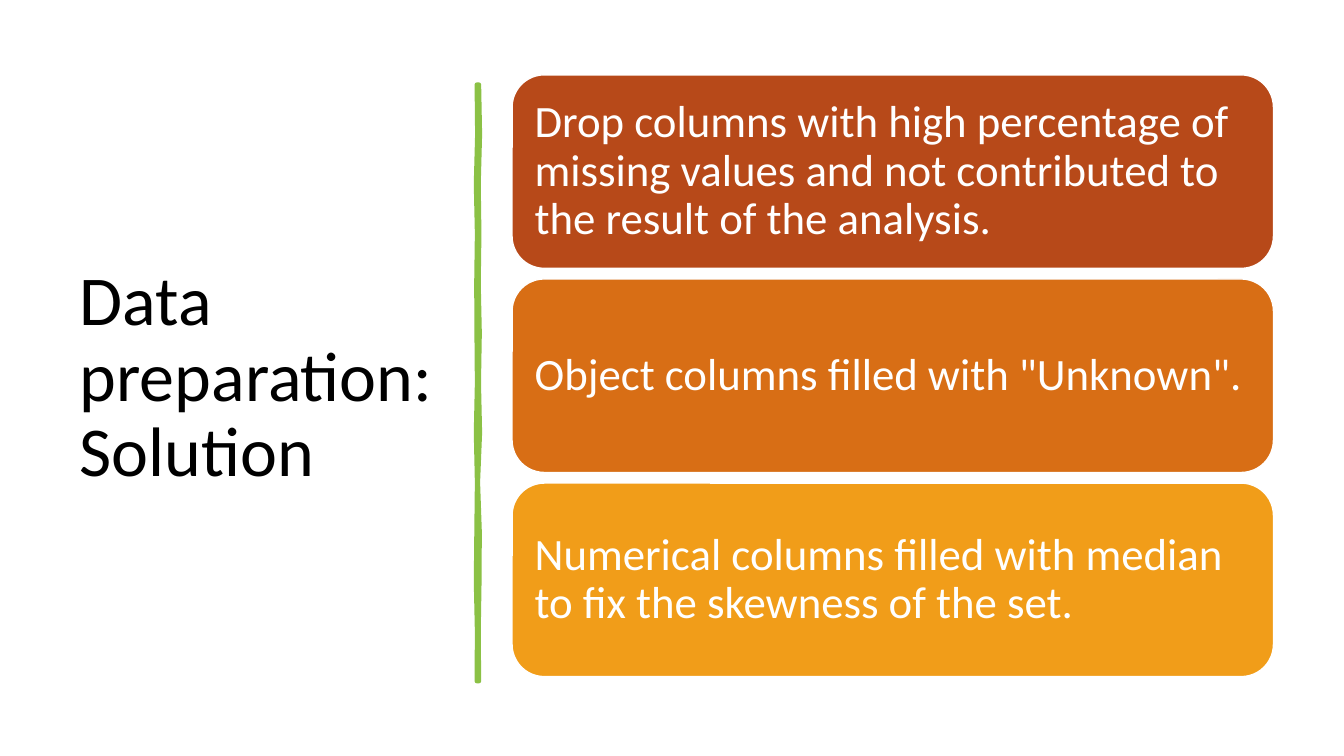
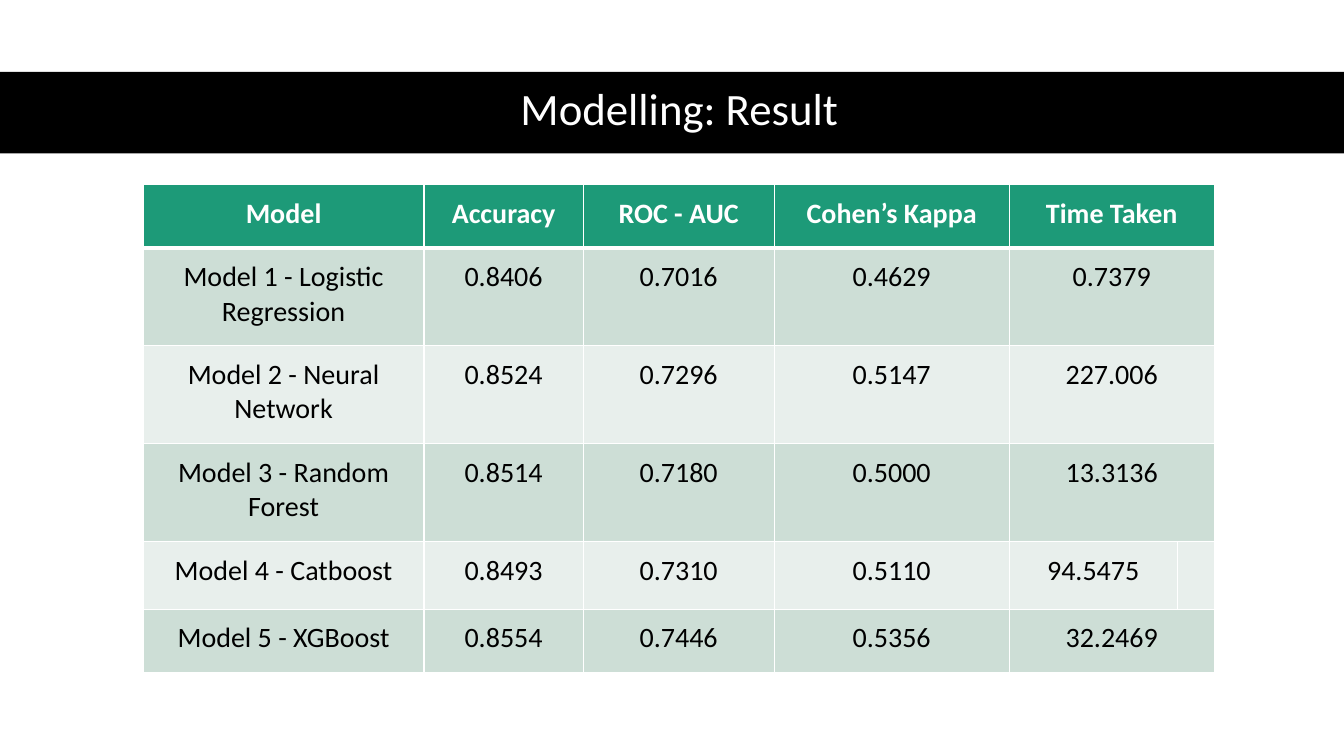
from lxml.etree import SubElement
from pptx import Presentation
from pptx.dml.color import RGBColor
from pptx.enum.shapes import MSO_SHAPE
from pptx.enum.text import MSO_ANCHOR, MSO_AUTO_SIZE, PP_ALIGN
from pptx.oxml import parse_xml
from pptx.oxml.ns import nsdecls, qn
from pptx.util import Inches, Pt

BLACK = RGBColor(0x00, 0x00, 0x00)
WHITE = RGBColor(0xFF, 0xFF, 0xFF)
LEAF = RGBColor(0x8B, 0xC1, 0x45)
RUST = RGBColor(0xB7, 0x49, 0x19)
ORANGE = RGBColor(0xD8, 0x6E, 0x15)
AMBER = RGBColor(0xF1, 0x9D, 0x19)
TEAL = RGBColor(0x1D, 0x9A, 0x78)
MINT = RGBColor(0xCD, 0xDE, 0xD6)
PALE_MINT = RGBColor(0xE8, 0xEF, 0xEC)

deck = Presentation()
deck.slide_width, deck.slide_height = Inches(13.33), Inches(7.5)
COL, ROW = deck.slide_width / 100, deck.slide_height / 100
TITLE_ONLY = deck.slide_layouts[5]


def place(left, top, width, height):
    return int(left * COL), int(top * ROW), int(width * COL), int(height * ROW)


def write(frame, text, size=20, color=BLACK, bold=False, align=PP_ALIGN.CENTER,
          anchor=MSO_ANCHOR.MIDDLE, spacing=0.9):
    frame.word_wrap = True
    frame.auto_size = MSO_AUTO_SIZE.NONE
    frame.vertical_anchor = anchor
    paragraph = frame.paragraphs[0]
    paragraph.alignment = align
    paragraph.line_spacing = spacing
    run = paragraph.add_run()
    run.text = text
    run.font.name = "Calibri"
    run.font.size = Pt(size)
    run.font.bold = bold
    run.font.color.rgb = color


preparation = deck.slides.add_slide(TITLE_ONLY)
heading = preparation.shapes.title
heading.left, heading.top, heading.width, heading.height = place(5.18, 9.33, 28.05, 81.47)
write(heading.text_frame, "Data preparation: Solution", size=50, align=PP_ALIGN.LEFT)

STROKE_TOP, STROKE_BOTTOM = 11.2, 90.1
RIGHT_EDGE = [35.63, 35.7, 35.6, 35.65, 35.6, 35.68, 35.62, 35.7, 35.55, 35.68, 35.66, 35.6, 35.63]
LEFT_EDGE = [35.48, 35.52, 35.42, 35.5, 35.45, 35.47, 35.5, 35.42, 35.5, 35.46, 35.42, 35.5, 35.48]
step = (STROKE_BOTTOM - STROKE_TOP) / (len(RIGHT_EDGE) - 1)
down = [(x * COL, (STROKE_TOP + i * step) * ROW) for i, x in enumerate(RIGHT_EDGE)]
up = [(x * COL, (STROKE_TOP + i * step) * ROW) for i, x in enumerate(LEFT_EDGE)][::-1]
outline = preparation.shapes.build_freeform(*map(int, down[0]))
outline.add_line_segments([(int(x), int(y)) for x, y in down[1:] + up], close=True)
brush_stroke = outline.convert_to_shape()
brush_stroke.shadow.inherit = False
brush_stroke.fill.solid()
brush_stroke.fill.fore_color.rgb = LEAF
brush_stroke.line.color.rgb = LEAF
brush_stroke.line.width = Pt(3.25)
SubElement(brush_stroke.line._get_or_add_ln(), qn("a:round"))

SOLUTIONS = [
    ("Drop columns with high percentage of missing values and not contributed "
     "to the result of the analysis.", RUST),
    ('Object columns filled with "Unknown".', ORANGE),
    ("Numerical columns filled with median to fix the skewness of the set.", AMBER),
]
for i, (solution, color) in enumerate(SOLUTIONS):
    card = preparation.shapes.add_shape(
        MSO_SHAPE.ROUNDED_RECTANGLE, *place(38.1, 9.9 + 27 * i, 56.65, 25.6))
    card.shadow.inherit = False
    card.fill.solid()
    card.fill.fore_color.rgb = color
    card.line.color.rgb = WHITE
    card.line.width = Pt(1)
    card.text_frame.margin_left = card.text_frame.margin_right = Inches(0.13)
    write(card.text_frame, solution, size=32, color=WHITE, align=PP_ALIGN.LEFT)

result = deck.slides.add_slide(TITLE_ONLY)
band = result.shapes.add_shape(MSO_SHAPE.RECTANGLE, *place(0, 9.5, 100, 10.8))
band.shadow.inherit = False
band.fill.solid()
band.fill.fore_color.rgb = BLACK
band.line.fill.background()
heading = result.shapes.title
result.shapes._spTree.remove(band._element)
heading._element.addprevious(band._element)
heading.left, heading.top, heading.width, heading.height = place(4.58, 9.33, 91.95, 10.8)
write(heading.text_frame, "Modelling: Result", size=32, color=WHITE)

SCORES = [
    ("Model", "Accuracy", "ROC - AUC", "Cohen’s Kappa", "Time Taken"),
    ("Model 1 - Logistic Regression", "0.8406", "0.7016", "0.4629", "0.7379"),
    ("Model 2 - Neural Network", "0.8524", "0.7296", "0.5147", "227.006"),
    ("Model 3 - Random Forest", "0.8514", "0.7180", "0.5000", "13.3136"),
    ("Model 4 - Catboost", "0.8493", "0.7310", "0.5110", "94.5475"),
    ("Model 5 - XGBoost", "0.8554", "0.7446", "0.5356", "32.2469"),
]
WIDTHS = [20.9, 11.85, 14.2, 17.5, 12.5, 2.75]
HEIGHTS = [8.4, 12.95, 12.95, 12.95, 8.95, 8.4]
SPLIT_ROW = 4
scores = result.shapes.add_table(
    len(SCORES), len(WIDTHS), *place(10.65, 24.4, sum(WIDTHS), sum(HEIGHTS))).table
for column, width in zip(scores.columns, WIDTHS):
    column.width = int(width * COL)
for row, height in zip(scores.rows, HEIGHTS):
    row.height = int(height * ROW)

for r, record in enumerate(SCORES):
    header = r == 0
    if r != SPLIT_ROW:
        scores.cell(r, 4).merge(scores.cell(r, 5))
    for c in range(len(WIDTHS)):
        cell = scores.cell(r, c)
        cell.fill.solid()
        cell.fill.fore_color.rgb = TEAL if header else MINT if r % 2 else PALE_MINT
        cell.margin_left = cell.margin_right = Inches(0.12)
        cell.margin_top = cell.margin_bottom = Inches(0.12)
        if c < len(record):
            write(cell.text_frame, record[c], color=WHITE if header else BLACK,
                  bold=header, spacing=1.0)
            cell.vertical_anchor = MSO_ANCHOR.TOP
        heavy = {"lnB"} if header else {"lnT"} if r == 1 else set()
        for i, side in enumerate(("lnL", "lnR", "lnT", "lnB")):
            border = parse_xml(
                f'<a:{side} {nsdecls("a")} w="{Pt(3 if side in heavy else 1)}">'
                f'<a:solidFill><a:srgbClr val="{WHITE}"/></a:solidFill></a:{side}>')
            cell._tc.get_or_add_tcPr().insert(i, border)

deck.save("out.pptx")
